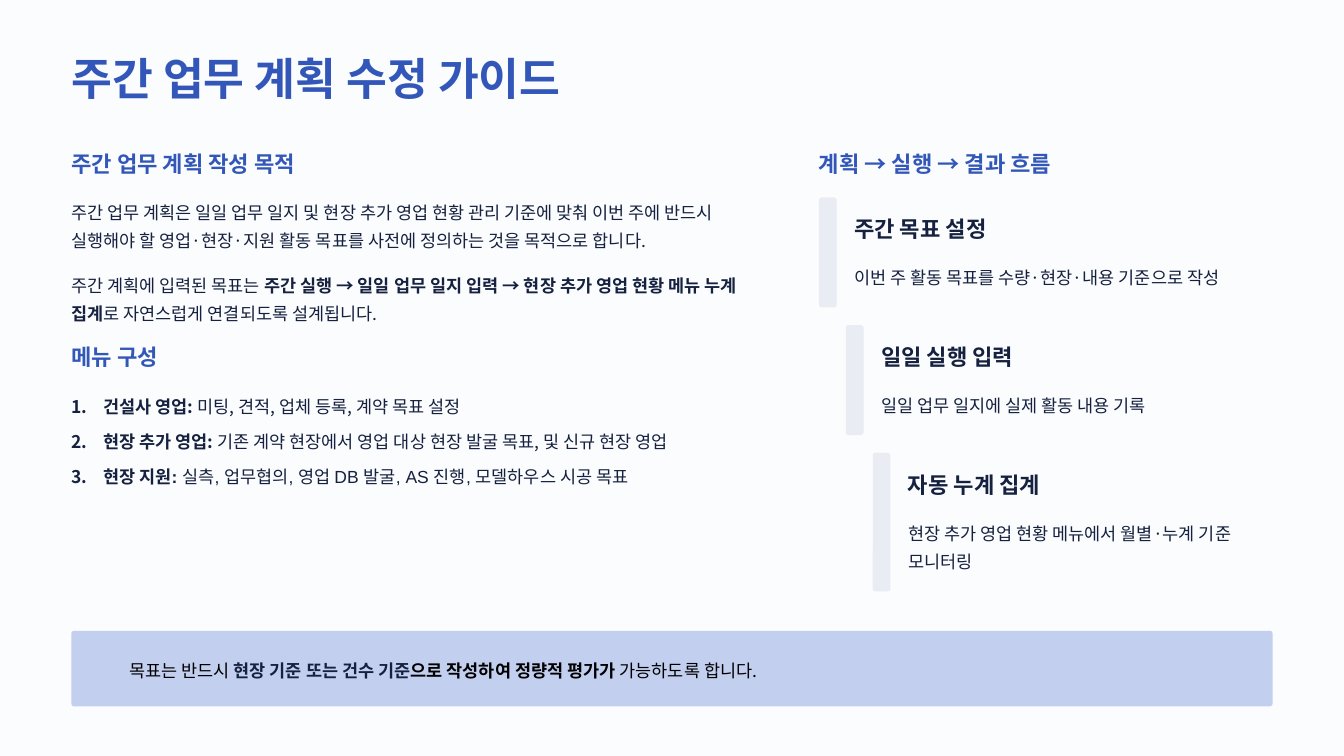
import pptx
import pptx.dml.color
import pptx.enum.shapes
import pptx.oxml.ns
import pptx.oxml.xmlchemy
import pptx.util
from lxml import etree

Inches = pptx.util.Inches
Pt = pptx.util.Pt
RGBColor = pptx.dml.color.RGBColor
qn = pptx.oxml.ns.qn

BACKGROUND = RGBColor(0xFB, 0xFC, 0xFE)
BLUE = RGBColor(0x32, 0x57, 0xB8)
NAVY = RGBColor(0x15, 0x21, 0x3F)
BLACK = RGBColor(0x00, 0x00, 0x00)
BAR_GRAY = RGBColor(0xE9, 0xEC, 0xF2)
CALLOUT_BLUE = RGBColor(0xC3, 0xCF, 0xEF)

KOREAN_FONT = "Noto Sans CJK KR"
LEFT = 0.85
RIGHT = 9.75
BODY_WIDTH = 8.37

PURPOSE = (
    "주간 업무 계획은 일일 업무 일지 및 현장 추가 영업 현황 관리 기준에 맞춰 이번 주에 반드시 "
    "실행해야 할 영업·현장·지원 활동 목표를 사전에 정의하는 것을 목적으로 합니다."
)
CONNECTION = [
    ("주간 계획에 입력된 목표는 ", False),
    ("주간 실행 → 일일 업무 일지 입력 → 현장 추가 영업 현황 메뉴 누계 집계", True),
    ("로 자연스럽게 연결되도록 설계됩니다.", False),
]
MENU_ITEMS = [
    ("건설사 영업:", " 미팅, 견적, 업체 등록, 계약 목표 설정", KOREAN_FONT),
    ("현장 추가 영업: ", "기존 계약 현장에서 영업 대상 현장 발굴 목표, 및 신규 현장 영업", KOREAN_FONT),
    ("현장 지원:", " 실측, 업무협의, 영업 DB 발굴, AS 진행, 모델하우스 시공 목표", "Arial"),
]
FLOW_STEPS = [
    ("주간 목표 설정", "이번 주 활동 목표를 수량·현장·내용 기준으로 작성", 1),
    ("일일 실행 입력", "일일 업무 일지에 실제 활동 내용 기록", 1),
    ("자동 누계 집계", "현장 추가 영업 현황 메뉴에서 월별·누계 기준 모니터링", 2),
]
CALLOUT = [
    ("목표는 반드시 ", False),
    ("현장 기준 또는 건수 기준", True, NAVY),
    ("으로 작성하여 정량적 평가가 ", True),
    ("가능하도록 합니다.", False),
]


def add_text(slide, left, top, width, height, runs, size, spacing, color,
             font_name=KOREAN_FONT, wrap=False):
    text_box = slide.shapes.add_textbox(
        Inches(left), Inches(top), Inches(width), Inches(height))
    frame = text_box.text_frame
    frame.margin_left = frame.margin_top = 0
    frame.margin_right = frame.margin_bottom = 0
    frame.word_wrap = wrap
    paragraph = frame.paragraphs[0]
    paragraph.line_spacing = Pt(spacing)
    paragraph.font.size = Pt(size)
    paragraph.font.name = font_name
    paragraph.font.color.rgb = color
    defaults = paragraph._p.pPr.find(qn("a:defRPr"))
    etree.SubElement(defaults, qn("a:ea"), typeface=KOREAN_FONT)
    for text, bold, *run_color in runs:
        run = paragraph.add_run()
        run.text = text
        run.font.bold = bold
        if run_color:
            run.font.color.rgb = run_color[0]
    return paragraph


def add_heading(slide, left, top, text, color=BLUE):
    add_text(slide, left, top, 2.8, 0.33, [(text, True)], 19, 23.5, color)


def add_body(slide, left, top, width, runs, lines=1, color=NAVY,
             font_name=KOREAN_FONT):
    return add_text(slide, left, top, width, 0.34 * lines, runs, 15, 24, color,
                    font_name, wrap=lines > 1)


def add_menu_item(slide, number, label, description, font_name):
    top = 4.63 + 0.415 * (number - 1)
    paragraph = add_body(slide, LEFT, top, BODY_WIDTH,
                         [(label, True), (description, False)],
                         font_name=font_name)
    properties = paragraph._p.pPr
    properties.set("marL", str(Inches(0.38)))
    properties.set("indent", str(-Inches(0.38)))
    numbering = etree.Element(
        qn("a:buAutoNum"), type="arabicPeriod", startAt=str(number))
    properties.find(qn("a:defRPr")).addprevious(numbering)


def add_panel(slide, left, top, width, height, radius, color):
    panel = slide.shapes.add_shape(
        pptx.enum.shapes.MSO_SHAPE.ROUNDED_RECTANGLE,
        Inches(left), Inches(top), Inches(width), Inches(height))
    panel.adjustments[0] = radius
    panel.shadow.inherit = False
    panel.fill.solid()
    panel.fill.fore_color.rgb = color
    panel.line.fill.background()


def add_flow_step(slide, index, title, description, lines):
    left = RIGHT + 0.32 * index
    top = 2.35 + 1.52 * index
    text_left = left + 0.42
    add_panel(slide, left, top, 0.21, 0.97 + 0.34 * lines, 0.15, BAR_GRAY)
    add_heading(slide, text_left, top + 0.21, title, NAVY)
    add_body(slide, text_left, top + 0.75, 15.16 - text_left,
             [(description, False)], lines)


def main():
    presentation = pptx.Presentation()
    presentation.slide_width = Inches(16)
    presentation.slide_height = Inches(9)
    slide = presentation.slides.add_slide(presentation.slide_layouts[6])
    slide.background.fill.solid()
    slide.background.fill.fore_color.rgb = BACKGROUND

    add_text(slide, LEFT, 0.58, 5.9, 0.66,
             [("주간 업무 계획 수정 가이드", True)], 38, 47.5, BLUE)

    add_heading(slide, LEFT, 1.78, "주간 업무 계획 작성 목적")
    add_body(slide, LEFT, 2.32, BODY_WIDTH, [(PURPOSE, False)], lines=2)
    add_body(slide, LEFT, 3.19, BODY_WIDTH, CONNECTION, lines=2)

    add_heading(slide, LEFT, 4.08, "메뉴 구성")
    for number, item in enumerate(MENU_ITEMS, start=1):
        add_menu_item(slide, number, *item)

    add_heading(slide, RIGHT, 1.78, "계획 → 실행 → 결과 흐름")
    for index, step in enumerate(FLOW_STEPS):
        add_flow_step(slide, index, *step)

    add_panel(slide, LEFT, 7.51, 14.3, 0.9, 0.035, CALLOUT_BLUE)
    add_body(slide, 1.54, 7.78, 13.4, CALLOUT, color=BLACK)

    presentation.save("out.pptx")


if __name__ == "__main__":
    main()
